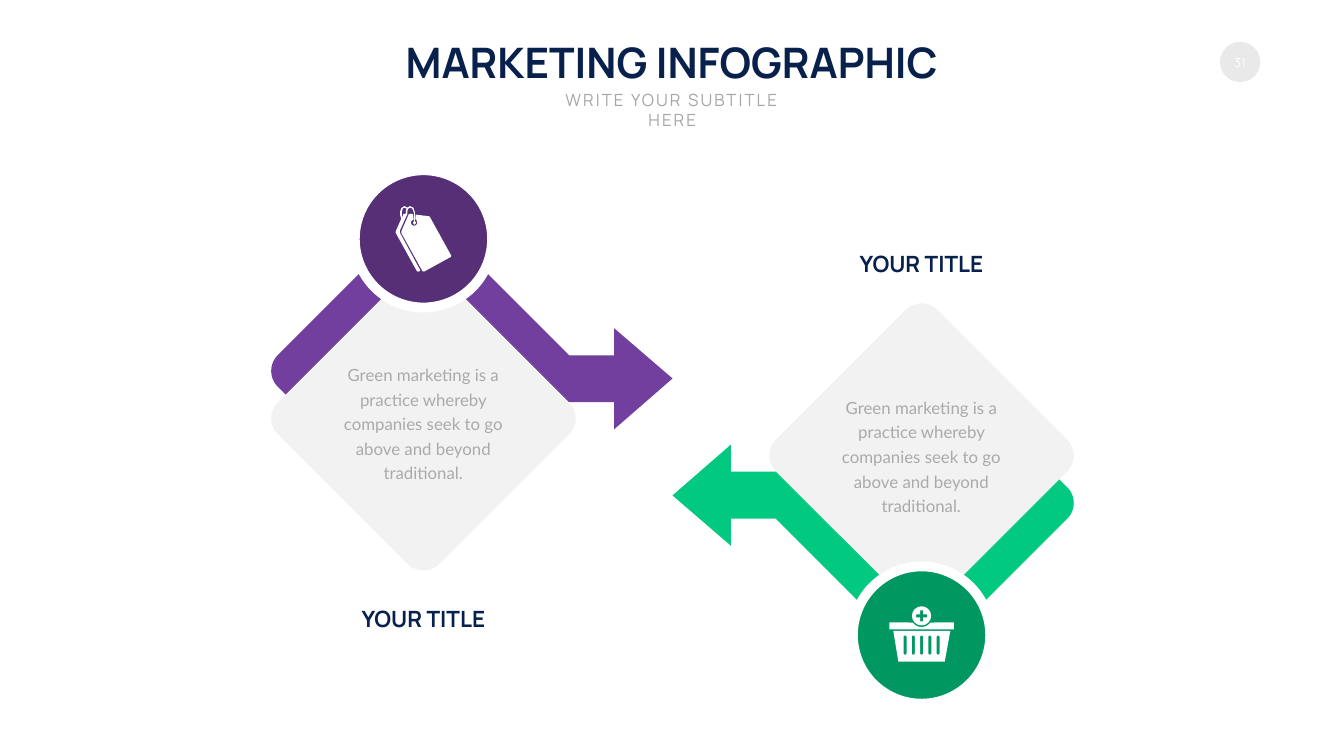
"""Build a marketing slide with two mirrored diamond panels and arrows."""
from math import cos, radians, sin

from pptx import Presentation
from pptx.dml.color import RGBColor
from pptx.enum.shapes import MSO_SHAPE
from pptx.enum.text import MSO_ANCHOR, PP_ALIGN
from pptx.util import Inches, Pt

THEME = {
    "white": "FFFFFF", "pale": "F2F2F2", "badge": "E9E9E9",
    "head": {"name": "Manrope", "size": Pt(60), "bold": True, "color": "08204C"},
    "sub": {"name": "Manrope", "size": Pt(24), "bold": False, "color": "A6A6A6"},
    "label": {"name": "Manrope", "size": Pt(32), "bold": True, "color": "08204C"},
    "body": {"name": "Lato", "size": Pt(24), "bold": False, "color": "AAAAAA"},
    "page": {"name": "Manrope", "size": Pt(18), "bold": False, "color": "FFFFFF"},
}
HEAD = ("MARKETING INFOGRAPHIC", (7.71, 0.67, 11.23, 1.11))
SUB = ("WRITE YOUR SUBTITLE HERE", (10.62, 1.72, 5.43, 0.5))
PAGE = ("31", (24.2, 0.83, 0.8, 0.8))
NOTE = "Green marketing is a practice whereby companies seek to go above and beyond traditional."
PANELS = [
    {"label": "YOUR TITLE", "note": NOTE, "band": "723F9F", "disc": "562F77",
     "icon": "tag", "flip": False, "label_y": 11.96, "note_y": 7.12},
    {"label": "YOUR TITLE", "note": NOTE, "band": "02C980", "disc": "019760",
     "icon": "basket", "flip": True, "label_y": 4.91, "note_y": 7.77},
]
MID = (13.34, 8.67)
HUB = (8.4, 4.74)
BAND_GAP, CARD_GAP = 2.62, 3.56
ARROW = [(13.34, 7.51), (12.18, 6.51), (12.18, 7.05), (11.3, 7.05),
         (10.95, 7.98), (12.18, 7.98), (12.18, 8.52)]
TAG = [
    [(8.14, 4.24), (8.19, 4.25), (8.2, 4.35), (8.19, 4.36), (8.15, 4.4), (8.16, 4.45),
     (8.2, 4.48), (8.25, 4.47), (8.28, 4.43), (8.27, 4.38), (8.25, 4.36), (8.25, 4.26),
     (8.51, 4.29), (8.53, 4.31), (8.95, 5.07), (8.94, 5.1), (8.41, 5.39), (8.38, 5.38),
     (7.96, 4.62), (7.96, 4.59), (8.11, 4.25)],
    [(8.02, 4.12), (7.99, 4.14), (7.97, 4.22), (7.97, 4.28), (7.98, 4.31), (8, 4.25),
     (8.03, 4.24), (8.05, 4.24), (8.05, 4.18), (8.07, 4.14)],
    [(8.13, 4.09), (8.2, 4.12), (8.23, 4.21), (8.24, 4.33), (8.23, 4.39), (8.26, 4.42),
     (8.22, 4.46), (8.19, 4.42), (8.21, 4.39), (8.21, 4.33), (8.21, 4.22), (8.18, 4.14),
     (8.13, 4.12), (8.1, 4.14), (8.08, 4.19), (8.08, 4.25), (7.93, 4.58), (7.94, 4.63),
     (8.34, 5.37), (8.3, 5.39), (8.27, 5.38), (7.85, 4.62), (7.85, 4.59), (7.96, 4.34),
     (7.94, 4.28), (7.94, 4.19), (7.96, 4.13), (8.02, 4.09), (8.08, 4.12)],
]


def arc(x, y, r, start, end, steps=16):
    turns = [radians(start + (end - start) * i / steps) for i in range(steps + 1)]
    return [(x + r * cos(t), y + r * sin(t)) for t in turns]


def pill(x, top, base, r):
    return arc(x, top + r, r, 180, 360) + arc(x, base - r, r, 0, 180)


def gem(x, y):
    return [p for a in (0, 90, 180, 270)
            for p in arc(x + 2.58 * cos(radians(a)), y + 2.58 * sin(radians(a)),
                         0.44, a - 45, a + 45)]


def basket():
    x, y = 18.28, 12.22
    slots = [pill(x + 0.164 * i, 12.61, 12.99, 0.03) for i in range(-2, 3)]
    body = [(17.72, 12.52), (18.85, 12.52), (18.74, 13.13), (17.82, 13.13)]
    rim = [(17.64, 12.35), *arc(x, y, 0.22, 143, 37), (18.92, 12.35),
           (18.92, 12.49), (17.64, 12.49)]
    s, b = 0.03, 0.11
    plus = [(-s, -b), (s, -b), (s, -s), (b, -s), (b, s), (s, s),
            (s, b), (-s, b), (-s, s), (-b, s), (-b, -s), (-s, -s)]
    return [body, *slots, rim, arc(x, y, 0.19, 0, 360),
            [(x + dx, y + dy) for dx, dy in plus]]


def paint(shape, color):
    shape.shadow.inherit = False
    shape.fill.solid()
    shape.fill.fore_color.rgb = RGBColor.from_string(color)
    shape.line.fill.background()
    return shape


def outline(slide, loops, color):
    loops = [[(Inches(x), Inches(y)) for x, y in loop] for loop in loops]
    pen = slide.shapes.build_freeform(*loops[0][0], scale=1.0)
    for i, loop in enumerate(loops):
        if i:
            pen.move_to(*loop[0])
        pen.add_line_segments(loop[1:], close=True)
    return paint(pen.convert_to_shape(), color)


def round_at(slide, kind, hub, size, color):
    left, top = (Inches(v - size / 2) for v in hub)
    return paint(slide.shapes.add_shape(kind, left, top, Inches(size), Inches(size)), color)


def place(shape, box):
    for name, value in zip(("left", "top", "width", "height"), box):
        setattr(shape, name, Inches(value))


def write(shape, text, style, wrap=True, anchor=MSO_ANCHOR.MIDDLE):
    frame = shape.text_frame
    frame.word_wrap, frame.vertical_anchor = wrap, anchor
    para = frame.paragraphs[0]
    para.alignment = PP_ALIGN.CENTER
    run = para.add_run()
    run.text = text
    for name, value in THEME[style].items():
        if name == "color":
            run.font.color.rgb = RGBColor.from_string(value)
        else:
            setattr(run.font, name, value)
    return para


def text_box(slide, box, text, style, wrap=True):
    shape = slide.shapes.add_textbox(*map(Inches, box))
    return write(shape, text, style, wrap)


def draw_panel(slide, panel):
    def turn(points):
        if not panel["flip"]:
            return points
        return [(2 * MID[0] - x, 2 * MID[1] - y) for x, y in points]

    x, y = HUB
    hub = turn([HUB])[0]
    outline(slide, [turn(gem(x, y + BAND_GAP))], panel["band"])
    outline(slide, [turn(ARROW)], panel["band"])
    outline(slide, [turn(gem(x, y + CARD_GAP))], THEME["pale"])
    round_at(slide, MSO_SHAPE.OVAL, hub, 2.73, panel["disc"])
    ring = round_at(slide, MSO_SHAPE.DONUT, hub, 2.92, THEME["white"])
    ring.adjustments[0] = 0.067
    outline(slide, TAG if panel["icon"] == "tag" else basket(), THEME["white"])
    note = text_box(slide, (hub[0] - 2, panel["note_y"], 3.99, 2.5), panel["note"], "body")
    note.line_spacing, note.space_before = Pt(35), Pt(4.8)
    text_box(slide, (hub[0] - 1.34, panel["label_y"], 2.68, 0.64),
             panel["label"], "label", False)


def main():
    deck = Presentation()
    deck.slide_width, deck.slide_height = Inches(26.66), Inches(15)
    slide = deck.slides.add_slide(deck.slide_layouts[0])
    head, sub = slide.placeholders
    place(head, HEAD[1])
    write(head, HEAD[0], "head", False, MSO_ANCHOR.TOP)
    place(sub, SUB[1])
    para = write(sub, SUB[0], "sub", True, MSO_ANCHOR.TOP)
    para.runs[0].font._element.set("spc", "300")
    badge = paint(slide.shapes.add_shape(MSO_SHAPE.OVAL, *map(Inches, PAGE[1])),
                  THEME["badge"])
    write(badge, PAGE[0], "page", False)
    for panel in PANELS:
        draw_panel(slide, panel)
    deck.save("out.pptx")


if __name__ == "__main__":
    main()
